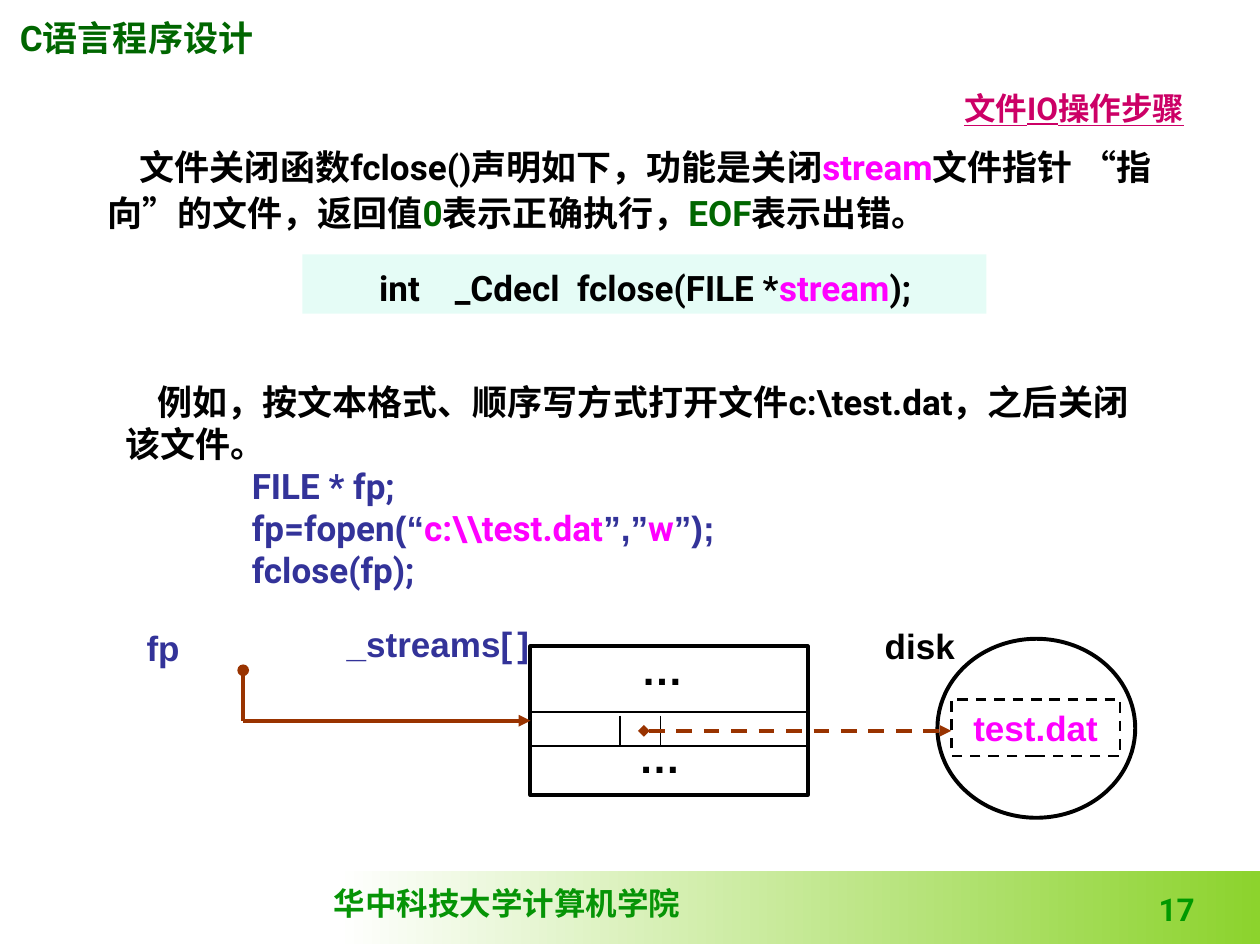
from pptx import Presentation
from pptx.dml.color import RGBColor
from pptx.enum.dml import MSO_LINE
from pptx.enum.shapes import MSO_CONNECTOR, MSO_SHAPE
from pptx.enum.text import MSO_ANCHOR, PP_ALIGN
from pptx.oxml.ns import qn
from pptx.util import Inches, Pt
from lxml import etree

LEFT, CENTER, RIGHT = PP_ALIGN.LEFT, PP_ALIGN.CENTER, PP_ALIGN.RIGHT
TOP, MIDDLE, BOTTOM = MSO_ANCHOR.TOP, MSO_ANCHOR.MIDDLE, MSO_ANCHOR.BOTTOM
RECT, OVAL, STRAIGHT = MSO_SHAPE.RECTANGLE, MSO_SHAPE.OVAL, MSO_CONNECTOR.STRAIGHT
DASH = MSO_LINE.DASH

THEME = {
    "black": "000000", "white": "FFFFFF", "code": "333399", "mark": "FF00FF",
    "value": "006600", "title": "CC0066", "school": "069406", "page": "009900",
    "band": "8CD32D", "tint": "00E4A8", "pointer": "993300",
    "text": 20, "small": 18, "dots": 24, "gap": 10,
    "main": "Roboto", "cjk": "Noto Sans CJK SC", "label": "Arial", "school_font": "Times New Roman",
}

TITLE = [{"runs": [("文件IO操作步骤", "title", {"size": "small", "underline": True})], "align": CENTER}]
FUNCTION = [
    {"indent": 0.26, "spacing": 1.1, "runs": [
        ("文件关闭函数fclose()声明如下，功能是关闭", "black"), ("stream", "mark"),
        ("文件指针 ", "black"), ("“", "black", {"font": "label"}), ("指向", "black"),
        ("”", "black", {"font": "label"}), ("的文件，返回值", "black"), ("0", "value"),
        ("表示正确执行，", "black"), ("EOF", "value"), ("表示出错。", "black")]},
    {"align": CENTER, "spacing": 1.8, "runs": [
        ("int    _Cdecl  fclose(FILE *", "black"), ("stream", "mark"), (");", "black")]},
]
EXAMPLE = [
    {"indent": 0.25, "runs": [("例如，按文本格式、顺序写方式打开文件c:\\test.dat，之后关闭该文件。", "black")]},
    {"margin": 1, "runs": [("FILE * fp;", "code")]},
    {"margin": 1, "runs": [
        ("fp=fopen", "code"), ("(“", "code", {"font": "label"}), ("c:\\\\test.dat", "mark"),
        ("”,”", "code", {"font": "label"}), ("w", "mark"), ("”);", "code", {"font": "label"})]},
    {"margin": 1, "runs": [("fclose(fp);", "code")]},
]
COURSE = [{"runs": [("C", "value"), ("语言程序设计", "value", {"font": "school_font"})]}]
SCHOOL = [{"runs": [("华中科技大学计算机学院", "school", {"size": "small", "font": "school_font"})]}]
PAGE = [{"runs": [("17", "page", {"size": "small"})], "align": RIGHT}]

ARIAL = {"font": "label"}
DOTS = [("…", "black", {"font": "label", "size": "dots"})]
LABELS = [
    ((0.98, 4.92, 0.63, 0.43), [("fp", "code", ARIAL)]),
    ((2.65, 4.89, 1.65, 0.43), [("_streams[", "code", ARIAL),
                                (" ", "code", {"font": "label", "size": "gap"}), ("]", "code", ARIAL)]),
    ((6.9, 4.91, 0.8, 0.43), [("disk", "black", ARIAL)]),
    ((4.84, 5.76, 0.79, 0.5), DOTS),
    ((4.86, 5.06, 0.79, 0.5), DOTS),
]
FILE_NAME = [{"runs": [("test.dat", "mark", ARIAL)], "align": CENTER}]

STREAMS = (4.21, 5.13, 2.2, 1.18)
DISK = (7.44, 5.07, 1.57, 1.42)
FILE_BOX = (7.55, 5.55, 1.34, 0.45)
ROW_LINES = (5.65, 5.92)
CELL_LINES = (4.92, 5.24)
FP_X, FP_TOP, FP_BOTTOM = 1.93, 5.32, 5.72
FILE_POINTER = (5.11, 5.8)


def color(key):
    return RGBColor.from_string(THEME[key])


def write(shape, paragraphs, anchor=TOP, wrap=True):
    frame = shape.text_frame
    frame.word_wrap, frame.vertical_anchor = wrap, anchor
    for number, content in enumerate(paragraphs):
        para = frame.add_paragraph() if number else frame.paragraphs[0]
        props = para._p.get_or_add_pPr()
        props.set("marL", str(Inches(content.get("margin", 0))))
        props.set("indent", str(Inches(content.get("indent", 0))))
        etree.SubElement(props, qn("a:buNone"))
        layout = {"alignment": content.get("align", LEFT), "space_before": Pt(0),
                  "line_spacing": content.get("spacing", 1.0)}
        for name, value in layout.items():
            setattr(para, name, value)
        for text, tone, *extra in content["runs"]:
            style = extra[0] if extra else {}
            run = para.add_run()
            run.text = text
            look = {"size": Pt(THEME[style.get("size", "text")]), "bold": True,
                    "name": THEME[style.get("font", "main")], "underline": style.get("underline", False)}
            for name, value in look.items():
                setattr(run.font, name, value)
            run.font.color.rgb = color(tone)
            east_asian = etree.Element(qn("a:ea"), typeface=THEME["cjk"])
            run.font._element.find(qn("a:latin")).addnext(east_asian)


def place(shape, box):
    for name, value in zip(("left", "top", "width", "height"), box):
        setattr(shape, name, Inches(value))
    return shape


def add_text(slide, box, paragraphs, anchor=TOP, wrap=True):
    write(slide.shapes.add_textbox(*map(Inches, box)), paragraphs, anchor, wrap)


def add_box(slide, kind, box, width=0, dash=None):
    shape = slide.shapes.add_shape(kind, *map(Inches, box))
    shape.shadow.inherit = False
    shape.fill.background()
    if width:
        shape.line.color.rgb, shape.line.width = color("black"), Pt(width)
        shape.line.dash_style = dash
    else:
        shape.line.fill.background()
    return shape


def add_line(slide, start, end, tone="black", width=0.75, dash=None, head=None, tail=None):
    line = slide.shapes.add_connector(STRAIGHT, *map(Inches, start + end))
    line.line.color.rgb, line.line.width = color(tone), Pt(width)
    line.line.dash_style = dash
    for tag, kind in (("a:headEnd", head), ("a:tailEnd", tail)):
        if kind:
            etree.SubElement(line.line._get_or_add_ln(), qn(tag), type=kind)
    etree.SubElement(line._element.spPr, qn("a:effectLst"))


def add_backdrop(slide):
    band = add_box(slide, RECT, (2.67, 6.91, 7.33, 0.58))
    band.fill.gradient()
    band.fill.gradient_angle = 0
    for stop, tone, position in zip(band.fill.gradient_stops, ("white", "band"), (0, 1)):
        stop.color.rgb, stop.position = color(tone), position
    tint = add_box(slide, RECT, (2.4, 2.02, 5.43, 0.47))
    tint.fill.solid()
    tint.fill.fore_color.rgb = color("tint")
    etree.SubElement(tint._element.spPr.find(".//" + qn("a:srgbClr")), qn("a:alpha"), val="10000")
    for shape in (band, tint):
        slide.shapes.title._element.addprevious(shape._element)


def add_diagram(slide):
    left, _, width, _ = STREAMS
    add_box(slide, RECT, STREAMS, 2.25)
    for y in ROW_LINES:
        add_line(slide, (left, y), (left + width, y))
    add_box(slide, OVAL, DISK, 2.25)
    for box, runs in LABELS:
        add_text(slide, box, [{"runs": runs, "align": CENTER}])
    for x in CELL_LINES:
        add_line(slide, (x, 5.68), (x, 5.91))
    write(add_box(slide, RECT, FILE_BOX, 1.5, DASH), FILE_NAME, MIDDLE)
    pointer = {"tone": "pointer", "width": 2.25}
    add_line(slide, FILE_POINTER, (FILE_BOX[0], FILE_POINTER[1]), dash=DASH,
             head="diamond", tail="triangle", **pointer)
    add_line(slide, (FP_X, FP_TOP), (FP_X, FP_BOTTOM), head="oval", **pointer)
    add_line(slide, (FP_X, FP_BOTTOM), (left, FP_BOTTOM), tail="triangle", **pointer)


def main():
    """Build the slide on closing files with fclose()."""
    deck = Presentation()
    deck.slide_width, deck.slide_height = Inches(10), Inches(7.5)
    slide = deck.slides.add_slide(deck.slide_layouts[1])
    add_backdrop(slide)
    write(place(slide.shapes.title, (7.46, 0.66, 2.13, 0.4)), TITLE)
    write(place(slide.placeholders[1], (0.75, 1.07, 8.74, 1.43)), FUNCTION, MIDDLE)
    add_text(slide, (2.55, 6.97, 2.95, 0.4), SCHOOL, wrap=False)
    add_text(slide, (0.06, 0.08, 2.05, 0.43), COURSE)
    add_text(slide, (7.5, 6.95, 2.08, 0.46), PAGE, BOTTOM)
    add_text(slide, (0.9, 2.97, 8.42, 1.77), EXAMPLE)
    add_diagram(slide)
    deck.save("out.pptx")


if __name__ == "__main__":
    main()
